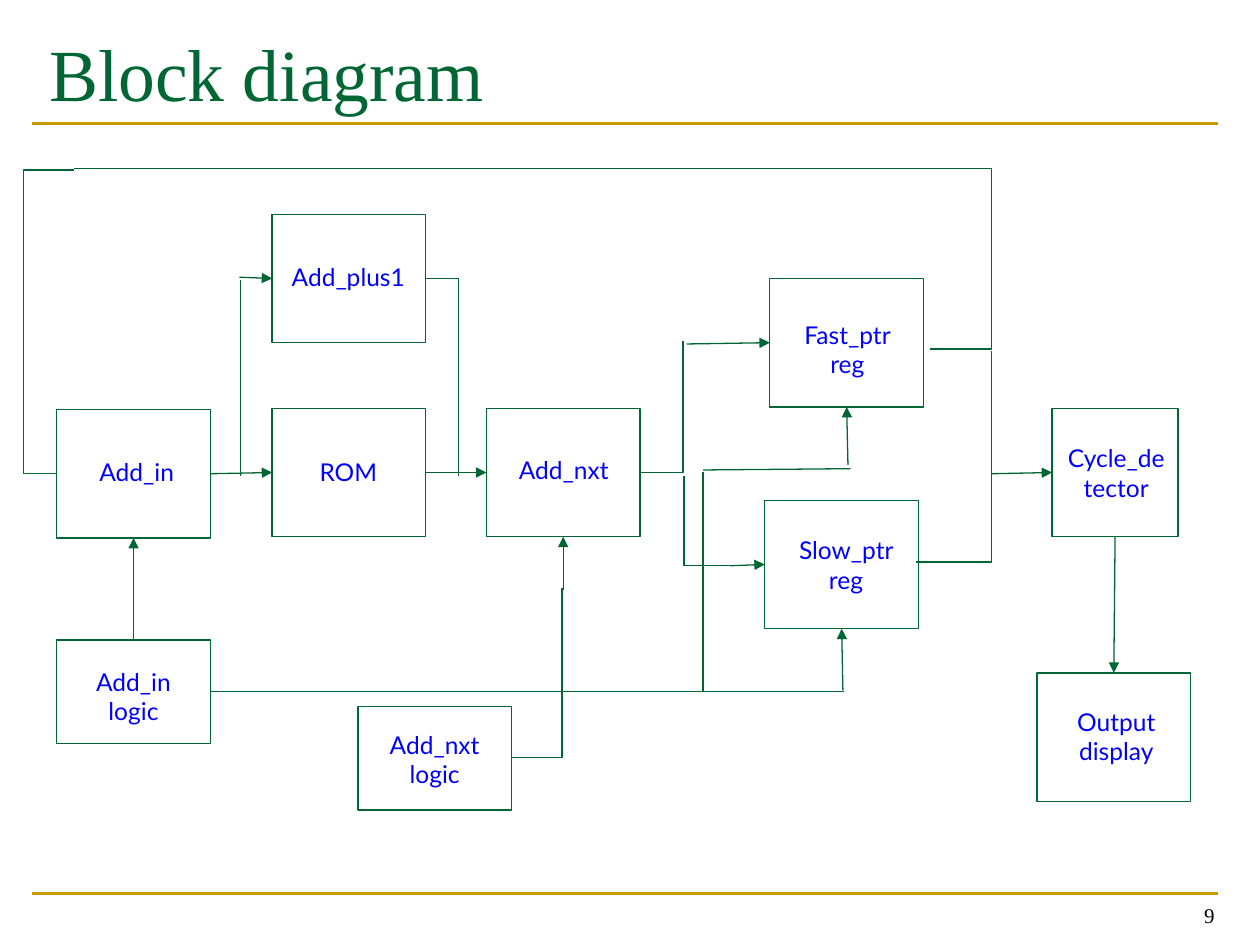
from lxml import etree
from pptx import Presentation
from pptx import util as u
from pptx.dml.color import RGBColor
from pptx.enum import shapes, text
from pptx.oxml.ns import qn

GREEN, GOLD, BLUE, BLACK = "006633", "CC9900", "0000FF", "000000"
SERIF, SANS = "Times New Roman", "Lato"
TOP, LEFT, BOTTOM, RIGHT = range(4)
WIDE, TALL, SHORT = 1.22, 1.02, 0.82
LABEL_H = {1: 0.44, 2: 0.67}

# Block: left, top, width, height; label: left, top, width, lines
BLOCKS = {
    "Add_in": ((0.45, 3.25, WIDE, TALL), (0.5, 3.53, 1.17, 1)),
    "Add_in logic": ((0.45, 5.08, WIDE, SHORT), (0.56, 5.19, 1, 2)),
    "Add_plus1": ((2.16, 1.7, WIDE, TALL), (2.18, 1.98, 1.17, 1)),
    "ROM": ((2.16, 3.24, WIDE, TALL), (2.18, 3.53, 1.17, 1)),
    "Add_nxt": ((3.86, 3.24, WIDE, TALL), (3.89, 3.51, 1.17, 1)),
    "Fast_ptr reg": ((6.11, 2.21, WIDE, TALL), (6.14, 2.44, 1.17, 2)),
    "Slow_ptr reg": ((6.07, 3.97, WIDE, TALL), (6.13, 4.15, 1.17, 2)),
    "Cycle_detector": ((8.35, 3.24, 1, TALL), (8.36, 3.42, 1, 2)),
    "Output display": ((8.23, 5.34, WIDE, TALL), (8.36, 5.51, 1, 2)),
    "Add_nxt logic": ((2.84, 5.61, WIDE, SHORT), (2.95, 5.69, 1, 2)),
}

# Ends are points (x, y) or block sides (name, side)
ARROWS = [
    ((6.73, 3.69), ("Fast_ptr reg", BOTTOM)),
    ((6.69, 5.48), ("Slow_ptr reg", BOTTOM)),
    (("ROM", RIGHT), ("Add_nxt", LEFT)),
    (("Add_in", RIGHT), ("ROM", LEFT)),
    ((1.9, 2.2), ("Add_plus1", LEFT)),
    ((5.8, 4.49), ("Slow_ptr reg", LEFT)),
    ((5.45, 2.73), ("Fast_ptr reg", LEFT)),
    ((7.87, 3.76), ("Cycle_detector", LEFT)),
    (("Cycle_detector", BOTTOM), ("Output display", TOP)),
    (("Add_in logic", TOP), ("Add_in", BOTTOM)),
    ((4.47, 4.68), ("Add_nxt", BOTTOM)),
]
PLAIN_LINES = [
    ((5.58, 3.73), (6.75, 3.72)),
    ((1.91, 2.22), (1.91, 3.78)),
    ((5.57, 5.49), (6.7, 5.49)),
]
# Start, end, x of the vertical run
ELBOWS = [
    ((3.38, 2.21), (3.64, 3.78), 3.64),
    ((1.67, 5.49), (5.59, 3.75), 5.58),
    ((5.08, 3.75), (5.42, 2.71), 5.42),
    ((5.8, 4.49), (5.43, 3.78), 5.43),
    ((7.38, 2.77), (0.59, 1.34), 7.87),
    ((7.27, 4.46), (7.87, 2.79), 7.87),
    ((0.59, 1.35), (0.45, 3.76), 0.19),
    ((4.06, 6.01), (4.46, 4.67), 4.46),
]


def rgb(value):
    return RGBColor.from_string(value)


def inches(values):
    return [u.Inches(v) for v in values]


def write(sp, words, size, font, color, align, inset_y, anchor=text.MSO_ANCHOR.TOP):
    tf = sp.text_frame
    tf.word_wrap = True
    tf.auto_size = text.MSO_AUTO_SIZE.NONE
    tf.vertical_anchor = anchor
    tf.margin_left = tf.margin_right = u.Inches(0.1)
    tf.margin_top = tf.margin_bottom = u.Inches(inset_y)
    p = tf.paragraphs[0]
    p.alignment = align
    r = p.add_run()
    r.text = words
    r.font.size = u.Pt(size)
    r.font.name = font
    r.font.color.rgb = rgb(color)


def connect(s, start, end, color=GREEN, width=0.75, arrow=False, bend=None):
    kind = shapes.MSO_CONNECTOR.STRAIGHT if bend is None else shapes.MSO_CONNECTOR.ELBOW
    points = [(0, 0) if isinstance(e[0], str) else e for e in (start, end)]
    line = s.shapes.add_connector(kind, *inches(points[0] + points[1]))
    for site, join in ((start, line.begin_connect), (end, line.end_connect)):
        if isinstance(site[0], str):
            join(boxes[site[0]], site[1])
    line.line.color.rgb = rgb(color)
    line.line.width = u.Pt(width)
    spPr = line._element.spPr
    if arrow:
        etree.SubElement(spPr.find(qn("a:ln")), qn("a:tailEnd"), type="triangle")
    etree.SubElement(spPr, qn("a:effectLst"))
    if bend is not None:
        geom = spPr.find(qn("a:prstGeom"))
        if bend == end[0]:
            geom.set("prst", "bentConnector2")
        else:
            share = (bend - start[0]) / (end[0] - start[0])
            etree.SubElement(geom.find(qn("a:avLst")), qn("a:gd"),
                             name="adj1", fmla=f"val {round(share * 100000)}")


prs = Presentation()
prs.slide_width, prs.slide_height = inches((10, 7.5))
s = prs.slides.add_slide(prs.slide_layouts[5])

# Rules, title and page number
for y in (7.09, 0.98):
    connect(s, (0.25, y), (9.67, y), GOLD, 1.5)
title = s.shapes.title
title.left, title.top, title.width, title.height = inches((0.29, 0.17, 9.42, 1.17))
write(title, "Block diagram", 42, SERIF, GREEN, text.PP_ALIGN.LEFT, 0.05)
number = s.shapes.add_textbox(*inches((7.41, 6.91, 2.33, 0.5)))
write(number, "9", 12, SERIF, BLACK, text.PP_ALIGN.RIGHT, 0.05, text.MSO_ANCHOR.BOTTOM)

# Blocks
boxes = {}
for name, (place, _) in BLOCKS.items():
    sp = s.shapes.add_shape(shapes.MSO_SHAPE.RECTANGLE, *inches(place))
    sp.shadow.inherit = False
    sp.fill.background()
    sp.line.color.rgb = rgb(GREEN)
    sp.line.width = u.Pt(0.75)
    boxes[name] = sp

# Signal paths
for start, end in ARROWS:
    connect(s, start, end, arrow=True)
for start, end in PLAIN_LINES:
    connect(s, start, end)
for start, end, bend in ELBOWS:
    connect(s, start, end, bend=bend)

# Block labels
for name, (_, (x, y, w, lines)) in BLOCKS.items():
    label = s.shapes.add_textbox(*inches((x, y, w, LABEL_H[lines])))
    write(label, name, 14, SANS, BLUE, text.PP_ALIGN.CENTER, 0.1)

prs.save("out.pptx")
